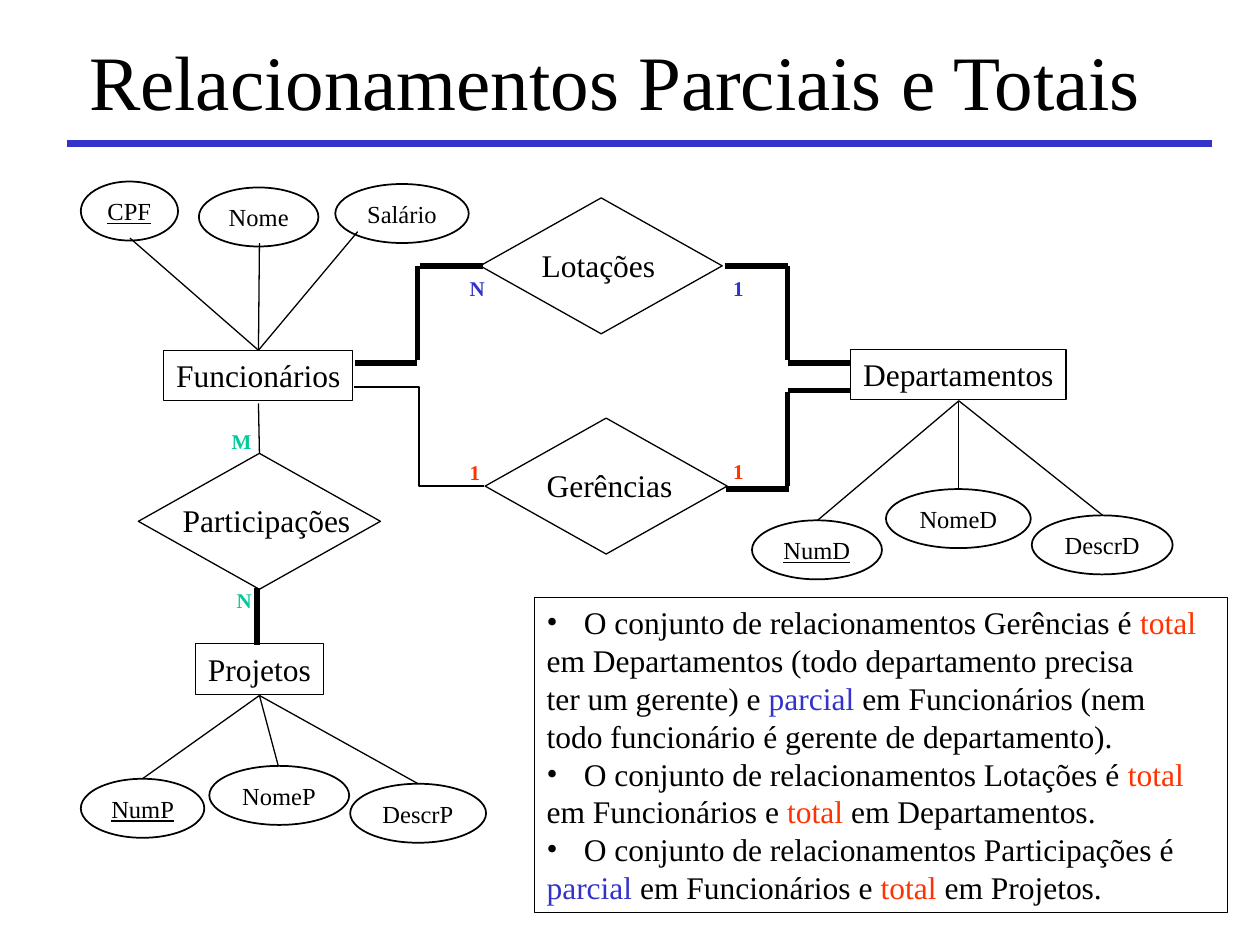
"""Build the slide on partial and total relationships in an ER diagram."""
from lxml.etree import SubElement
from pptx import Presentation
from pptx.dml.color import RGBColor
from pptx.enum.shapes import MSO_CONNECTOR, MSO_SHAPE
from pptx.enum.text import MSO_ANCHOR, MSO_AUTO_SIZE, PP_ALIGN
from pptx.oxml.ns import qn
from pptx.util import Cm, Pt


class Theme:
    font = "Times New Roman"
    black = RGBColor.from_string("000000")
    blue = RGBColor.from_string("3333CC")
    red = RGBColor.from_string("FF3300")
    green = RGBColor.from_string("00CC99")
    title, body, small, tiny = Pt(44), Pt(18), Pt(14), Pt(12)
    thin, oval, bold, rule = Pt(0.75), Pt(1), Pt(3), Pt(4)


def node(host, kind, text, box, size=Theme.body, color=Theme.black):
    """Add a text box, or an outlined shape when kind is given."""
    area = [Cm(v) for v in box]
    if kind is None:
        shape = host.add_textbox(*area)
    else:
        shape = host.add_shape(kind, *area)
        shape.shadow.inherit = False
        shape.fill.background()
        shape.line.color.rgb = Theme.black
        shape.line.width = Theme.oval if kind == MSO_SHAPE.OVAL else Theme.thin
    frame = shape.text_frame
    frame.word_wrap = True
    frame.auto_size = MSO_AUTO_SIZE.NONE
    frame.margin_right = 0
    frame.vertical_anchor = MSO_ANCHOR.TOP
    if text:
        frame.text = text
        frame.paragraphs[0].alignment = PP_ALIGN.LEFT
        font = frame.paragraphs[0].runs[0].font
        font.name, font.size, font.color.rgb = Theme.font, size, color
    return shape


def link(ends, width=Theme.thin, color=Theme.black, kind=MSO_CONNECTOR.STRAIGHT):
    """Join two points given as x1, y1, x2, y2."""
    line = shapes.add_connector(kind, *[Cm(v) for v in ends])
    line.line.color.rgb = color
    line.line.width = width
    SubElement(line._element.spPr, qn("a:effectLst"))


deck = Presentation()
deck.slide_width, deck.slide_height = Cm(25.4), Cm(19.05)
shapes = deck.slides.add_slide(deck.slide_layouts[6]).shapes

title = node(shapes, None, "Relacionamentos Parciais e Totais",
             (1.55, 0.48, 22.78, 2.26), Theme.title)
title.text_frame.vertical_anchor = MSO_ANCHOR.MIDDLE
link((1.35, 2.9, 24.43, 2.9), Theme.rule, Theme.blue)

items = [
    ["O conjunto de relacionamentos Gerências é |total",
     "em Departamentos (todo departamento precisa",
     "ter um gerente) e |parcial| em Funcionários (nem",
     "todo funcionário é gerente de departamento)."],
    ["O conjunto de relacionamentos Lotações é |total",
     "em Funcionários e |total| em Departamentos."],
    ["O conjunto de relacionamentos Participações é",
     "parcial| em Funcionários e |total| em Projetos."],
]
marks = {"total": Theme.red, "parcial": Theme.blue}
panel = node(shapes, MSO_SHAPE.RECTANGLE, "", (10.77, 12.04, 13.97, 6.35))
frame = panel.text_frame
para = frame.paragraphs[0]
for item in items:
    for row, text in enumerate(item):
        if para is None:
            para = frame.add_paragraph()
        para.alignment = PP_ALIGN.LEFT
        if row == 0:
            props = para._p.get_or_add_pPr()
            props.set("marL", str(Cm(0.75)))
            props.set("indent", str(-Cm(0.75)))
            SubElement(props, qn("a:buFont"), typeface=Theme.font)
            SubElement(props, qn("a:buChar"), char="•")
        for part in text.split("|"):
            run = para.add_run()
            run.text = part
            font = run.font
            font.name, font.size = Theme.font, Theme.body
            font.color.rgb = marks.get(part, Theme.black)
        para = None

tables = [
    ("Projetos", (3.94, 12.98, 2.59), (5.23, 14.02), [
        ("NumP", (1.63, 15.7, 2.49), (2.87, 15.7)),
        ("NomeP", (4.22, 15.44, 2.82), (5.61, 15.44)),
        ("DescrP", (7.06, 15.8, 2.74), (8.43, 15.8))]),
    ("Funcionários", (3.3, 7.06, 3.81), (5.21, 7.06), [
        ("CPF", (1.63, 3.66, 1.96), (2.62, 4.8)),
        ("Nome", (4.01, 3.78, 2.41), (5.23, 4.9)),
        ("Salário", (6.76, 3.71, 2.69), (7.21, 4.67))]),
    ("Departamentos", (17.15, 7.04, 4.34), (19.33, 8.08), [
        ("NumD", (15.16, 10.49, 2.62), (16.48, 10.49)),
        ("NomeD", (17.86, 9.86, 2.92), (19.33, 9.86)),
        ("DescrD", (20.8, 10.39, 2.84), (22.23, 10.39))]),
]
for name, box, hub, fields in tables:
    node(shapes, MSO_SHAPE.RECTANGLE, name, (*box, 1.02))
    for rank, (field, spot, end) in enumerate(fields):
        oval = node(shapes, MSO_SHAPE.OVAL, field, (*spot, 1.19), Theme.small)
        if rank == 0:
            oval.text_frame.paragraphs[0].runs[0].font.underline = True
        link((*hub, *end))

for name, left, top, inset, width in [
    ("Participações", 2.79, 9.14, 0.64, 3.89),
    ("Lotações", 9.68, 3.99, 0.99, 2.79),
    ("Gerências", 9.78, 8.43, 0.99, 3.05),
]:
    group = shapes.add_group_shape().shapes
    node(group, MSO_SHAPE.FLOWCHART_DECISION, "", (left, top, 4.88, 2.74))
    node(group, None, name, (left + inset, top + 0.84, width, 1.02))

link((5.21, 8.13, 5.23, 9.14))
link((7.14, 7.8, 9.75, 9.8), kind=MSO_CONNECTOR.ELBOW)
for ends in [
    (5.18, 11.86, 5.18, 13),
    (14.63, 9.86, 15.9, 9.86),
    (15.88, 9.8, 15.88, 7.9),
    (15.88, 7.87, 17.15, 7.87),
    (14.61, 5.36, 15.88, 5.36),
    (15.88, 7.26, 15.88, 5.36),
    (15.88, 7.32, 17.15, 7.32),
    (8.46, 5.36, 9.73, 5.36),
    (8.41, 7.26, 8.41, 5.36),
    (7.16, 7.32, 8.41, 7.32),
]:
    link(ends, Theme.bold)

for text, left, top, width, color in [
    ("1", 9.22, 9.14, 0.71, Theme.red),
    ("1", 14.53, 9.12, 0.71, Theme.red),
    ("N", 9.22, 5.44, 0.81, Theme.blue),
    ("1", 14.53, 5.44, 0.71, Theme.blue),
    ("M", 4.42, 8.51, 0.91, Theme.green),
    ("N", 4.52, 11.71, 0.81, Theme.green),
]:
    label = node(shapes, None, text, (left, top, width, 0.76), Theme.tiny, color)
    label.text_frame.paragraphs[0].runs[0].font.bold = True

deck.save("out.pptx")
